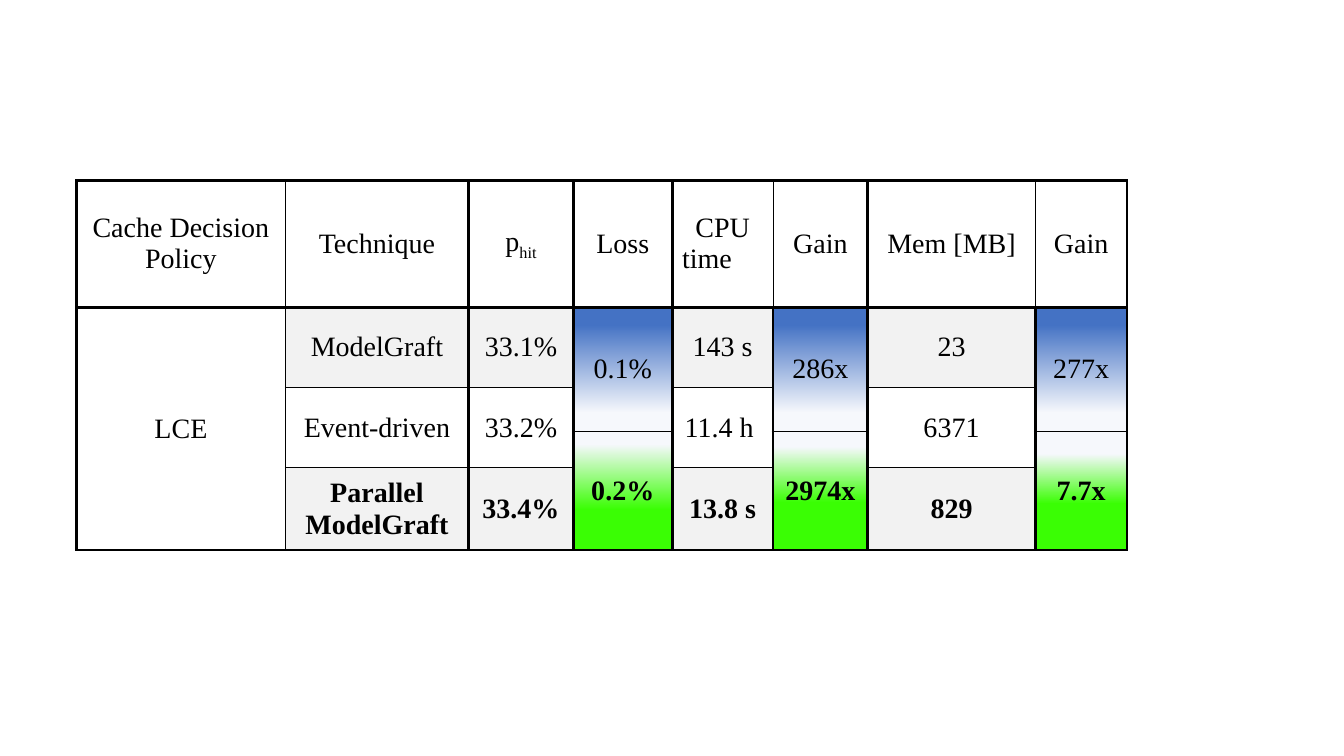
"""Build a slide with one table comparing cache simulation techniques."""
from lxml.etree import SubElement
from pptx import Presentation
from pptx.dml.color import RGBColor
from pptx.enum.text import MSO_VERTICAL_ANCHOR as Anchor, PP_PARAGRAPH_ALIGNMENT as Align
from pptx.oxml.ns import qn
from pptx.util import Cm, Pt

COLORS = {"ink": "000000", "paper": "FFFFFF", "shade": "F2F2F2",
          "pale": "F6F8FC", "blue": "4472C4", "green": "3AFE04"}
THICK, MEDIUM, THIN = 2.25, 1, 0.5
COLUMN_WIDTHS = [5.26, 4.62, 2.64, 2.49, 2.54, 2.39, 4.22, 2.31]
ROW_HEIGHTS = [3.19, 2.02, 1.11, 0.92, 2.07]
HEADER_RULES = [THICK, THIN, THICK, THICK, THICK, THIN, THICK, THIN, THICK]
BODY_RULES = [THICK, THIN] + [THICK] * 7
HEADINGS = ["Cache Decision Policy", "Technique", "p", "Loss", "CPU", "Gain", "Mem [MB]", "Gain"]
MEASURES = {1: ("ModelGraft", "Event-driven", "Parallel\nModelGraft"),
            2: ("33.1%", "33.2%", "33.4%"),
            4: ("143 s", "11.4 h ", "13.8 s"),
            6: ("23", "6371", "829")}
COMPARISONS = {3: ("0.1%", "0.2%", 11, 66),
               5: ("286x", "2974x", 13, 60),
               7: ("277x", "7.7x", 19, 61)}


def write(paragraph, text, size=20, bold=False, align=Align.CENTER, baseline=0,
          font="Times New Roman", color="ink"):
    """Add formatted text to a paragraph."""
    paragraph.alignment = align
    run = paragraph.add_run()
    run.text = text
    run.font.name, run.font.size, run.font.bold = font, Pt(size), bold
    run.font.color.rgb = RGBColor.from_string(COLORS[color])
    if baseline:
        run._r.get_or_add_rPr().set("baseline", str(baseline * 1000))


class SlideBuilder:
    """Hold the current slide and the style of its table."""

    def __init__(self, presentation):
        """Add a blank slide."""
        self.slide = presentation.slides.add_slide(presentation.slide_layouts[6])
        self.inset = Cm(0.25)

    def table(self, left, top, widths, heights):
        """Add an unbanded table with the given column and row sizes in cm."""
        frame = self.slide.shapes.add_table(len(heights), len(widths), Cm(left), Cm(top),
                                            Cm(sum(widths)), Cm(sum(heights)))
        table = frame.table
        table.first_row = table.horz_banding = False
        for column, width in zip(table.columns, widths):
            column.width = Cm(width)
        for row, height in zip(table.rows, heights):
            row.height = Cm(height)
        return table

    def cell(self, table, row, column, text, span=1, rules=BODY_RULES, top=THICK,
             bottom=THICK, fill="paper", gradient=None, bold=False):
        """Fill, border and write one cell spanning the given number of rows."""
        cell = table.cell(row, column)
        if span > 1:
            cell.merge(table.cell(row + span - 1, column))
        edges = {"a:lnL": rules[column], "a:lnR": rules[column + 1],
                 "a:lnT": top, "a:lnB": bottom}
        for covered in range(row, row + span):
            part = table.cell(covered, column)
            self.borders(part, edges)
            if gradient:
                self.gradient(part, *gradient)
            else:
                part.fill.solid()
                part.fill.fore_color.rgb = RGBColor.from_string(COLORS[fill])
        cell.vertical_anchor = Anchor.MIDDLE
        cell.margin_left = cell.margin_right = self.inset
        cell.margin_top = cell.margin_bottom = self.inset
        for index, line in enumerate(text.split("\n")):
            frame = cell.text_frame
            write(frame.add_paragraph() if index else frame.paragraphs[0], line, bold=bold)
        return cell

    def borders(self, cell, edges):
        """Draw solid borders of the given widths in points."""
        properties = cell._tc.get_or_add_tcPr()
        for tag, width in edges.items():
            line = SubElement(properties, qn(tag), w=str(Pt(width)))
            solid = SubElement(line, qn("a:solidFill"))
            SubElement(solid, qn("a:srgbClr"), val=COLORS["ink"])

    def gradient(self, cell, color, start, end, angle):
        """Fade a cell from pale to a colour between two percentages."""
        fill = SubElement(cell._tc.get_or_add_tcPr(), qn("a:gradFill"), rotWithShape="1")
        stops = SubElement(fill, qn("a:gsLst"))
        for position, name in ((start, "pale"), (end, color), (100, color)):
            stop = SubElement(stops, qn("a:gs"), pos=str(position * 1000))
            SubElement(stop, qn("a:srgbClr"), val=COLORS[name])
        SubElement(fill, qn("a:lin"), ang=str(angle * 60000), scaled="0")


def main():
    """Build and save the presentation."""
    presentation = Presentation()
    presentation.slide_width, presentation.slide_height = Cm(33.87), Cm(19.05)
    builder = SlideBuilder(presentation)
    table = builder.table(1.93, 4.55, COLUMN_WIDTHS, ROW_HEIGHTS)
    headers = [builder.cell(table, 0, column, heading, rules=HEADER_RULES)
               for column, heading in enumerate(HEADINGS)]
    write(headers[2].text_frame.paragraphs[0], "hit", baseline=-25)
    write(headers[4].text_frame.add_paragraph(), "time", align=Align.LEFT)
    builder.cell(table, 1, 0, "LCE", span=4)
    for column, (graft, event, parallel) in MEASURES.items():
        builder.cell(table, 1, column, graft, bottom=MEDIUM, fill="shade")
        builder.cell(table, 2, column, event, span=2, top=MEDIUM, bottom=MEDIUM)
        builder.cell(table, 4, column, parallel, top=MEDIUM, fill="shade", bold=True)
    for column, (graft, parallel, start, end) in COMPARISONS.items():
        builder.cell(table, 1, column, graft, span=2, bottom=MEDIUM,
                     gradient=("blue", 15, 86, 270))
        builder.cell(table, 3, column, parallel, span=2, top=MEDIUM, bold=True,
                     gradient=("green", start, end, 90))
    presentation.save("out.pptx")


main()
